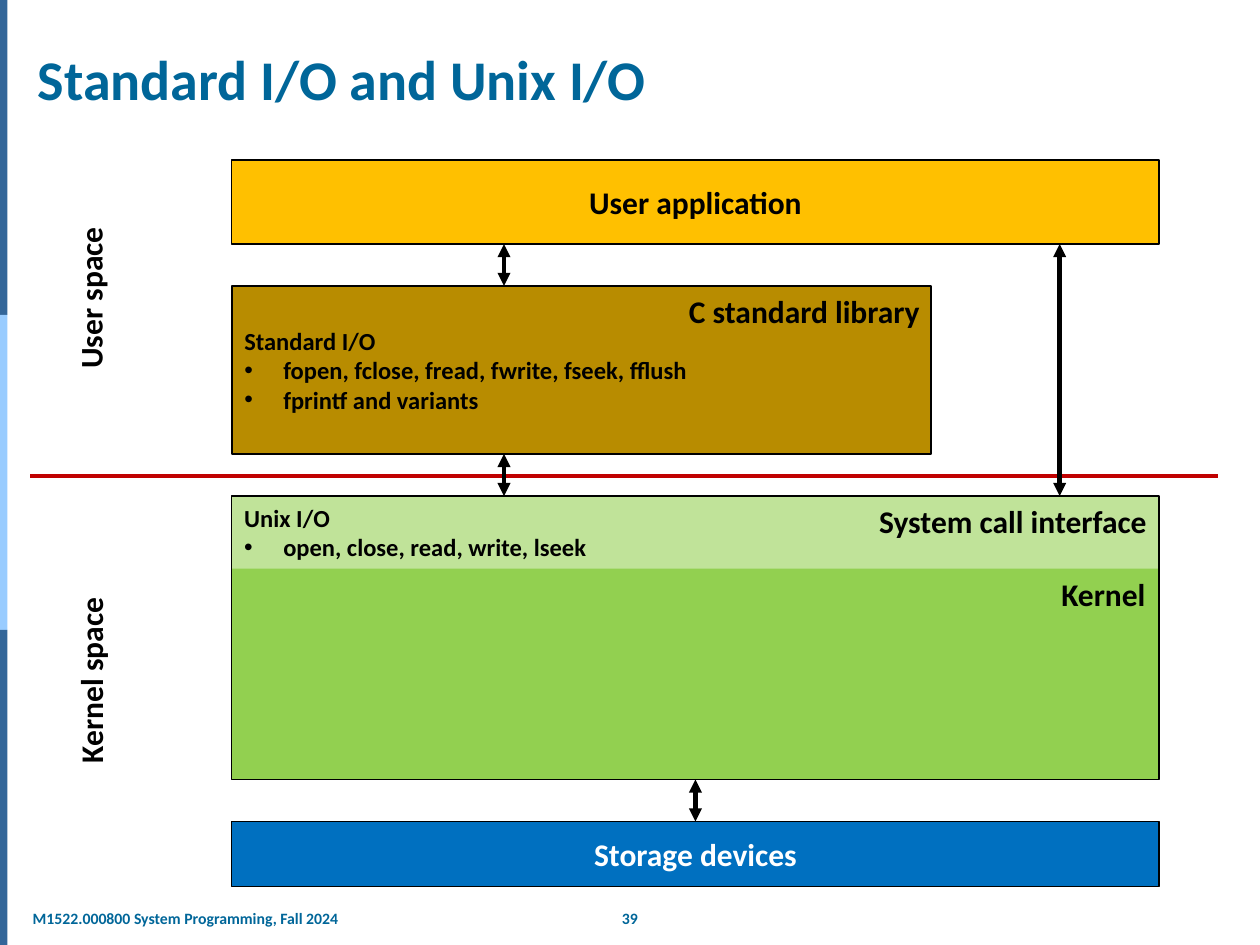
import pptx
import pptx.util
import pptx.dml.color
import pptx.enum.shapes
import pptx.enum.text
import pptx.oxml.ns
import pptx.oxml.xmlchemy

deck = pptx.Presentation()
deck.slide_width = pptx.util.Inches(10)
deck.slide_height = pptx.util.Inches(7.5)
slide = deck.slides.add_slide(deck.slide_layouts[5])

inch = pptx.util.Inches
hue = pptx.dml.color.RGBColor.from_string
align = pptx.enum.text.PP_ALIGN
anchor = pptx.enum.text.MSO_ANCHOR
rect = pptx.enum.shapes.MSO_SHAPE.RECTANGLE
tag = pptx.oxml.ns.qn
make = pptx.oxml.xmlchemy.OxmlElement

left, wide, top, row = 1.84, 7.36, 1.27, 1 / 3
ys = {n: top + n * row for n in (0, 2, 3, 7, 8, 9.73, 14.75, 15.75)}


def box(x, y, w, h, text="", size=18, ink="000000", side=align.LEFT,
        fill=None, edge=None, label=False, wrap=True):
    if label:
        item = slide.shapes.add_textbox(inch(x), inch(y), inch(w), inch(h))
    else:
        item = slide.shapes.add_shape(rect, inch(x), inch(y), inch(w), inch(h))
        item.shadow.inherit = False
        item.fill.background()
        item.line.fill.background()
    if fill:
        item.fill.solid()
        item.fill.fore_color.rgb = hue(fill)
    if edge:
        item.line.color.rgb = hue(edge)
        item.line.width = pptx.util.Pt(0.75)
    frame = item.text_frame
    frame.word_wrap = wrap
    frame.vertical_anchor = anchor.TOP if label else anchor.MIDDLE
    frame.text = text
    for i, para in enumerate(frame.paragraphs):
        para.alignment = side
        for run in para.runs:
            run.font.name = "Calibri"
            run.font.size = pptx.util.Pt(size)
            run.font.bold = True
            run.font.color.rgb = hue(ink)
        if i:
            props = para._p.get_or_add_pPr()
            props.set("marL", str(inch(0.31)))
            props.set("indent", str(inch(-0.31)))
            for name, key, value in (("a:buFont", "typeface", "Arial"), ("a:buChar", "char", "•")):
                node = make(name)
                node.set(key, value)
                props.append(node)
    return item


def link(x1, y1, x2, y2, ink="000000", heads=True):
    item = slide.shapes.add_connector(
        pptx.enum.shapes.MSO_CONNECTOR.STRAIGHT, inch(x1), inch(y1), inch(x2), inch(y2))
    item.line.color.rgb = hue(ink)
    item.line.width = pptx.util.Pt(2.5)
    if heads:
        for name in ("a:headEnd", "a:tailEnd"):
            node = make(name)
            node.set("type", "triangle")
            item._element.spPr.find(tag("a:ln")).append(node)
    item._element.spPr.append(make("a:effectLst"))


for i, fill in enumerate(("336699", "99CCFF", "336699")):
    box(0, i * 2.5, 0.06, 2.5, fill=fill)

title = slide.shapes.title
title.left, title.top, title.width, title.height = map(inch, (0.2, 0.31, 9.65, 0.63))
frame = title.text_frame
frame.text = "Standard I/O and Unix I/O"
frame.auto_size = pptx.enum.text.MSO_AUTO_SIZE.NONE
frame.vertical_anchor = anchor.BOTTOM
frame.paragraphs[0].alignment = align.LEFT
font = frame.paragraphs[0].runs[0].font
font.name, font.size, font.bold = "Calibri", pptx.util.Pt(32), True
font.color.rgb = hue("006699")

box(4.82, 7.16, 0.36, 0.25, "39", 9, "006699", align.CENTER, label=True, wrap=False)
foot = box(0.2, 7.16, 2.57, 0.25, "M1522.000800 System Programming, Fall 2024", 9,
           "006699", label=True, wrap=False)
foot.text_frame.margin_left = foot.text_frame.margin_right = inch(0.06)

link(0.24, 3.78, 9.67, 3.78, "C00000", False)

box(left, ys[0], wide, 2 * row, "User application", side=align.CENTER,
    fill="FFC000", edge="000000")
box(left, ys[3], 5.55, 4 * row,
    "Standard I/O\nfopen, fclose, fread, fwrite, fseek, fflush\nfprintf and variants",
    14, fill="B88C00", edge="000000")
box(left, ys[8], wide, 6.75 * row, fill="92D050")
box(left, ys[8], wide, 1.73 * row, "Unix I/O\nopen, close, read, write, lseek",
    14, fill="C0E399")
box(left, ys[8], wide, 6.75 * row, edge="000000")
box(left, ys[15.75], wide, 1.55 * row, "Storage devices", ink="FFFFFF",
    side=align.CENTER, fill="0070C0", edge="000000")

for x, start, end in ((4, 2, 3), (4, 7, 8), (8.41, 2, 8), (5.52, 14.75, 15.75)):
    link(x, ys[start], x, ys[end])

for x, line, w, text in ((5.35, 3, 2.05, "C standard library"),
                         (6.86, 8, 2.34, "System call interface"),
                         (8.32, 9.73, 0.87, "Kernel")):
    box(x, ys[line], w, 0.4, text, side=align.RIGHT, label=True, wrap=False)

for x, y, w, text, side in ((-0.15, 2.37, 1.73, "User space", align.RIGHT),
                            (-0.91, 5.2, 3.26, "Kernel space", align.CENTER)):
    box(x, y, w, 0.4, text, side=side, label=True).rotation = 270

deck.save("out.pptx")
